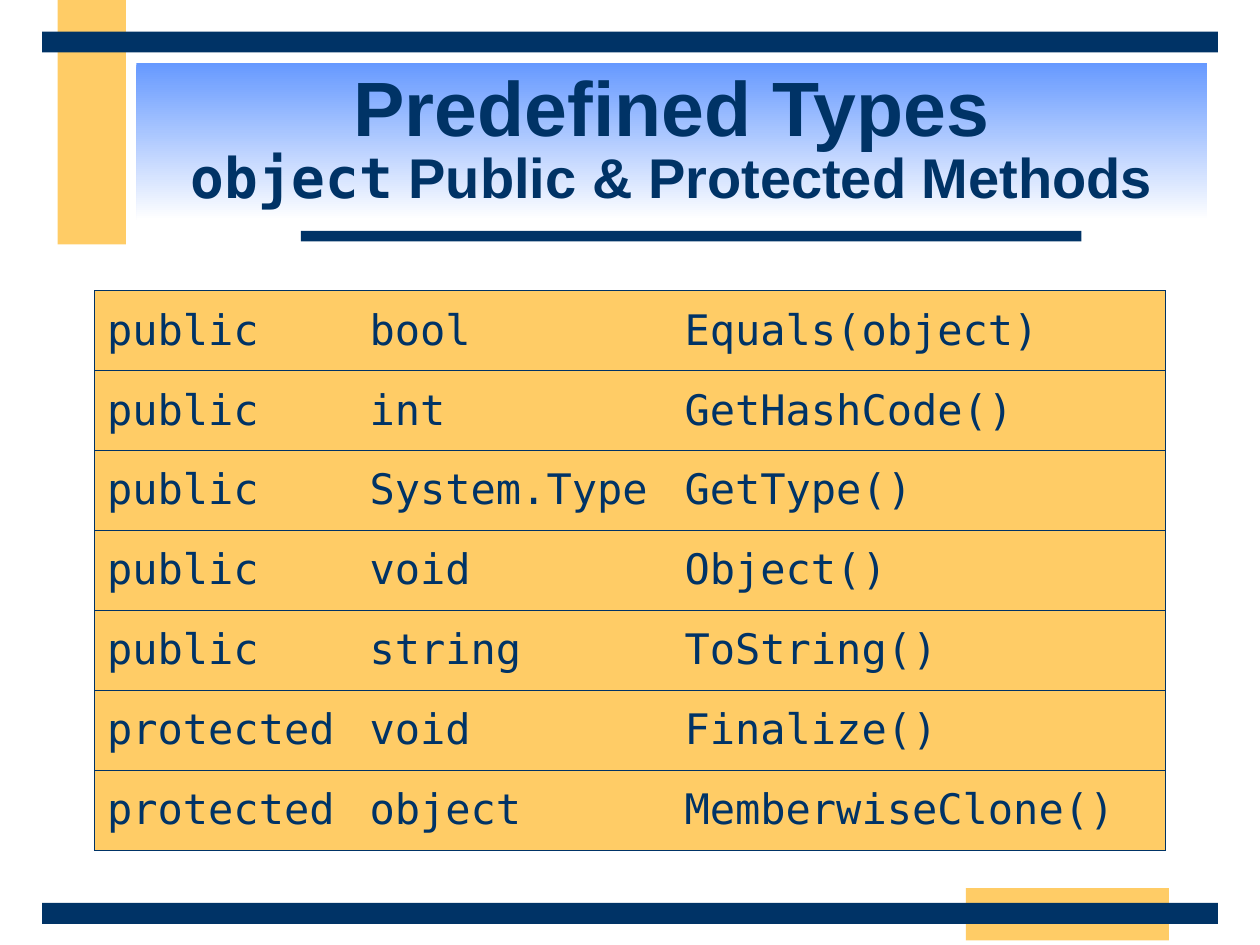
"""Build the slide listing the public and protected methods of object."""
from lxml import etree
from pptx import Presentation
from pptx.dml.color import RGBColor
from pptx.enum import shapes, text
from pptx.oxml import ns
from pptx.util import Pt

NAVY = RGBColor(0x00, 0x33, 0x66)
GOLD = RGBColor(0xFF, 0xCC, 0x66)
BLUE = RGBColor(0x66, 0x99, 0xFF)
WHITE = RGBColor(0xFF, 0xFF, 0xFF)
SANS, MONO = "Arial", "DejaVu Sans Mono"

BARS = [
    (GOLD, 32.9, 0, 39, 139.7),
    (GOLD, 552, 507.5, 116, 30),
    (NAVY, 172, 132, 446, 6),
    (NAVY, 24, 516, 672, 12),
    (NAVY, 24, 18, 672, 12),
]
HEAD = (78, 36, 612, 90)
TITLE = [
    [("Predefined Types", SANS, 44)],
    [("object", MONO, 32), (" Public & Protected Methods", SANS, 32)],
]
METHODS = [
    ("public", "bool", "Equals(object)"),
    ("public", "int", "GetHashCode()"),
    ("public", "System.Type", "GetType()"),
    ("public", "void", "Object()"),
    ("public", "string", "ToString()"),
    ("protected", "void", "Finalize()"),
    ("protected", "object", "MemberwiseClone()"),
]
LEFT, TOP, HIGH = 54, 166, 320
WIDTHS = (150, 180, 282)


def write(para, words, font=MONO, size=24, bold=False):
    run = para.add_run()
    run.text = words
    run.font.name, run.font.size, run.font.bold = font, Pt(size), bold
    run.font.color.rgb = NAVY


def block(slide, left, top, width, height):
    box = slide.shapes.add_shape(
        shapes.MSO_SHAPE.RECTANGLE, Pt(left), Pt(top), Pt(width), Pt(height))
    box.shadow.inherit = False
    box.line.fill.background()
    return box


def border(cell, sides):
    props = cell._tc.get_or_add_tcPr()
    for side in "LRTB":
        line = etree.SubElement(props, ns.qn("a:ln" + side), w=str(Pt(0.45)))
        if side in sides:
            fill = etree.SubElement(line, ns.qn("a:solidFill"))
            etree.SubElement(fill, ns.qn("a:srgbClr"), val=str(NAVY))
        else:
            etree.SubElement(line, ns.qn("a:noFill"))


def add_title(slide):
    box = block(slide, *HEAD)
    box.fill.gradient()
    box.fill.gradient_angle = 270
    for stop, color, place in zip(box.fill.gradient_stops, (BLUE, WHITE), (0, 1)):
        stop.color.rgb, stop.position = color, place
    frame = box.text_frame
    frame.word_wrap = True
    frame.vertical_anchor = text.MSO_ANCHOR.MIDDLE
    para = frame.paragraphs[0]
    para.alignment, para.line_spacing = text.PP_ALIGN.CENTER, 0.85
    for row, runs in enumerate(TITLE):
        if row:
            para.add_line_break()
        for words, font, size in runs:
            write(para, words, font=font, size=size, bold=True)


def add_methods(slide):
    table = slide.shapes.add_table(
        len(METHODS), len(WIDTHS), Pt(LEFT), Pt(TOP), Pt(sum(WIDTHS)), Pt(HIGH)).table
    table.first_row = table.horz_banding = False
    for col, width in zip(table.columns, WIDTHS):
        col.width = Pt(width)
    sides = ("LTB", "TB", "RTB")
    for row, method in zip(table.rows, METHODS):
        row.height = Pt(HIGH / len(METHODS))
        for cell, words, edge in zip(row.cells, method, sides):
            border(cell, edge)
            cell.fill.solid()
            cell.fill.fore_color.rgb = GOLD
            cell.vertical_anchor = text.MSO_ANCHOR.MIDDLE
            write(cell.text_frame.paragraphs[0], words)


def main():
    deck = Presentation()
    deck.slide_width, deck.slide_height = Pt(720), Pt(540)
    slide = deck.slides.add_slide(deck.slide_layouts[6])
    for color, *place in BARS:
        bar = block(slide, *place)
        bar.fill.solid()
        bar.fill.fore_color.rgb = color
    add_title(slide)
    add_methods(slide)
    deck.save("out.pptx")


if __name__ == "__main__":
    main()
